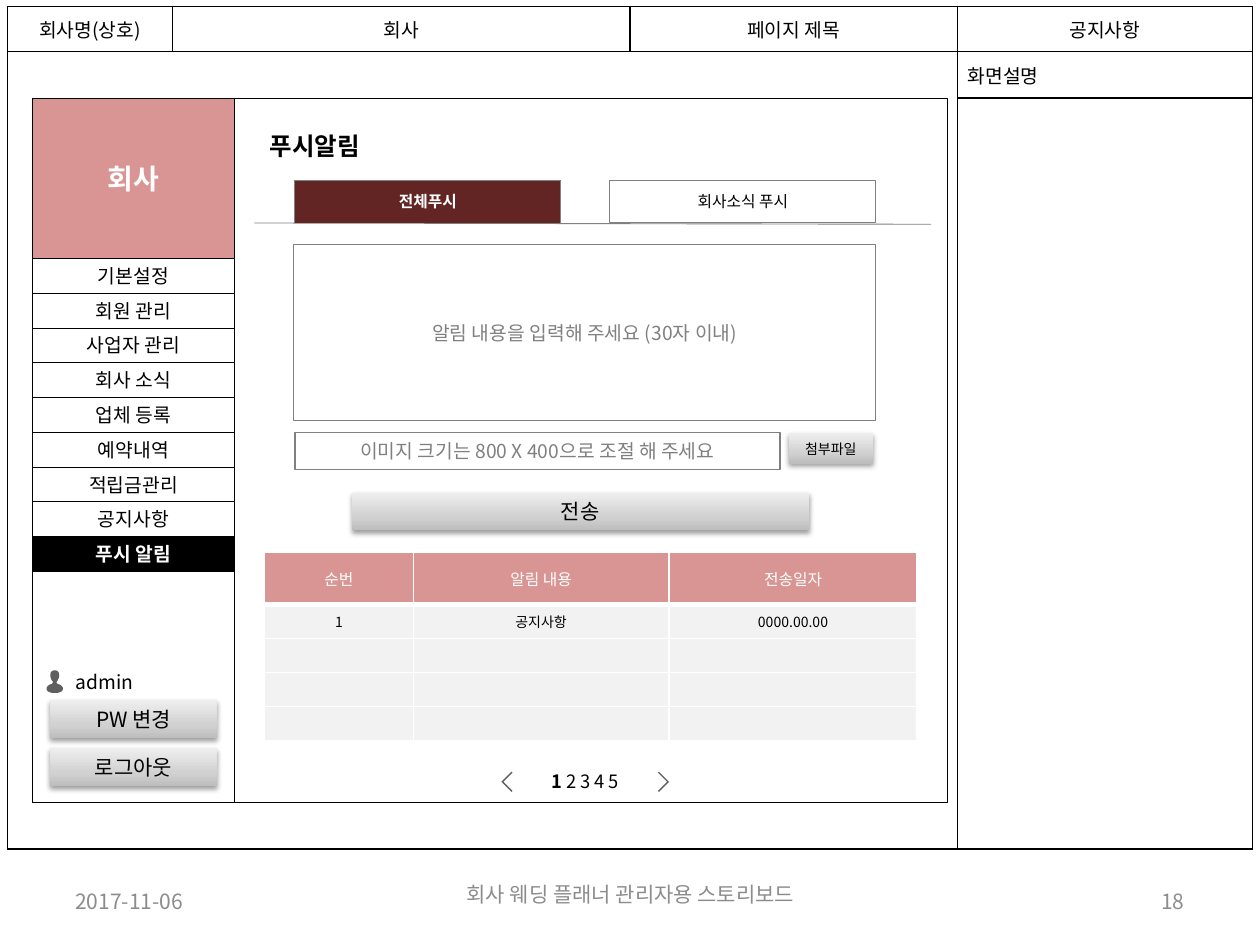
from dataclasses import dataclass
from typing import NamedTuple

from pptx import Presentation
from pptx.dml.color import RGBColor
from pptx.enum.shapes import MSO_CONNECTOR, MSO_SHAPE
from pptx.enum.text import MSO_ANCHOR, MSO_AUTO_SIZE, PP_ALIGN
from pptx.oxml import parse_xml
from pptx.oxml.ns import nsdecls, qn
from pptx.util import Inches, Pt

RECTANGLE = MSO_SHAPE.RECTANGLE
STRAIGHT = MSO_CONNECTOR.STRAIGHT
TOP, MIDDLE = MSO_ANCHOR.TOP, MSO_ANCHOR.MIDDLE
LEFT, CENTER, RIGHT = PP_ALIGN.LEFT, PP_ALIGN.CENTER, PP_ALIGN.RIGHT
NO_AUTOFIT = MSO_AUTO_SIZE.NONE

SLIDE_WIDTH, SLIDE_HEIGHT = Inches(10), Inches(7.5)
COLUMN, ROW = SLIDE_WIDTH // 100, SLIDE_HEIGHT // 75
NOTO, CABIN = "Noto Sans CJK KR", "Cabin"
COLORS = {
    "black": "000000", "white": "FFFFFF", "pink": "D99593", "maroon": "632523",
    "gray": "808080", "footer": "8C8C8C", "icon": "5F5F5F", "band": "F2F2F2",
}
BUTTON_STOPS = {0: "BDBDBD", 35: "D1D1D1", 100: "EEEEEE"}


class Area(NamedTuple):
    column: float
    row: float
    columns: float
    rows: float

    def emu(self) -> list[int]:
        units = (COLUMN, ROW, COLUMN, ROW)
        return [round(value * unit) for value, unit in zip(self, units)]


@dataclass
class Label:
    text: str
    size: float = 11
    color: str = "black"
    bold: bool = False
    align: PP_ALIGN = CENTER
    font: str = NOTO
    anchor: MSO_ANCHOR = MIDDLE
    inset: float = 0.1


@dataclass
class Grid:
    area: Area
    columns: list[float]
    rows: list[float]
    border: str
    inset: float


def rgb(name: str) -> RGBColor:
    return RGBColor.from_string(COLORS[name])


def format_run(run, label: Label, bold: bool) -> None:
    run.font.size, run.font.bold, run.font.name = Pt(label.size), bold, label.font
    run.font.color.rgb = rgb(label.color)
    run._r.get_or_add_rPr().append(
        parse_xml(f'<a:ea {nsdecls("a")} typeface="{label.font}"/>'))


def write(text_frame, label: Label) -> None:
    text_frame.text = label.text
    paragraph = text_frame.paragraphs[0]
    paragraph.alignment = label.align
    for run in paragraph.runs:
        format_run(run, label, label.bold)


def write_in_shape(shape, label: Label) -> None:
    frame = shape.text_frame
    frame.word_wrap, frame.auto_size = True, NO_AUTOFIT
    frame.vertical_anchor = label.anchor
    frame.margin_left = frame.margin_right = Inches(label.inset)
    frame.margin_top = frame.margin_bottom = Inches(0.05)
    write(frame, label)


def paint(shape, fill: str | None, line: str | None, width: float) -> None:
    shape.shadow.inherit = False
    if fill:
        shape.fill.solid()
        shape.fill.fore_color.rgb = rgb(fill)
    else:
        shape.fill.background()
    if line:
        shape.line.color.rgb, shape.line.width = rgb(line), Pt(width)
    else:
        shape.line.fill.background()


def add_box(slide, area: Area, label: Label | None = None, fill: str | None = None,
            line: str | None = "black", width: float = 0.25):
    shape = slide.shapes.add_shape(RECTANGLE, *area.emu())
    paint(shape, fill, line, width)
    if label:
        write_in_shape(shape, label)
    return shape


def add_text(slide, area: Area, label: Label):
    box = slide.shapes.add_textbox(*area.emu())
    write_in_shape(box, label)
    return box


def add_button(slide, area: Area, label: Label) -> None:
    properties = add_box(slide, area, label, line=None).element.spPr
    stops = "".join(f'<a:gs pos="{position * 1000}"><a:srgbClr val="{color}"/></a:gs>'
                    for position, color in BUTTON_STOPS.items())
    properties.replace(properties.find(qn("a:noFill")), parse_xml(
        f'<a:gradFill {nsdecls("a")} rotWithShape="1"><a:gsLst>{stops}</a:gsLst>'
        '<a:lin ang="16200000" scaled="0"/></a:gradFill>'))
    properties.find(qn("a:effectLst")).append(parse_xml(
        f'<a:outerShdw {nsdecls("a")} blurRad="{Pt(3.1)}" dist="{Pt(1.6)}" dir="5400000" '
        'rotWithShape="0"><a:srgbClr val="000000"><a:alpha val="38000"/></a:srgbClr></a:outerShdw>'))


def add_outline(slide, points, fill: str, line: str | None = None, close: bool = True):
    start, *others = [(round(x * COLUMN), round(y * ROW)) for x, y in points]
    builder = slide.shapes.build_freeform(*start, scale=1.0)
    builder.add_line_segments(others, close=close)
    shape = builder.convert_to_shape()
    paint(shape, fill, line, 0.5)
    return shape


def add_person(slide, center: float, top: float) -> None:
    curves = [((-0.2, 0), (-0.35, 0.1), (-0.35, 0.4)), ((-0.35, 0.6), (-0.25, 0.8), (-0.15, 0.9)),
              ((-0.15, 1), (-0.15, 1), (-0.25, 1.1)), ((-0.45, 1.1), (-0.65, 1.3), (-0.65, 1.45)),
              ((-0.65, 1.7), (-0.35, 1.8), (0, 1.8))]
    half = [(0.0, 0.0)]
    for controls in curves:
        corners = (half[-1], *controls)
        for step in range(1, 9):
            t = step / 8
            weights = ((1 - t) ** 3, 3 * t * (1 - t) ** 2, 3 * t * t * (1 - t), t ** 3)
            half.append(tuple(sum(w * c[axis] for w, c in zip(weights, corners)) for axis in (0, 1)))
    profile = half + [(-x, y) for x, y in reversed(half[1:-1])]
    add_outline(slide, [(center + x, top + y) for x, y in profile], "icon")


def add_chevron(slide, tip: float, direction: int) -> None:
    profile = [(0, 0), (0.8, -0.8), (0.88, -0.73), (0.15, 0), (0.88, 0.73), (0.8, 0.8)]
    add_outline(slide, [(tip + direction * x, 62.05 + y) for x, y in profile], "icon")


def add_grid(slide, grid: Grid):
    table = slide.shapes.add_table(len(grid.rows), len(grid.columns), *grid.area.emu()).table
    table.first_row = table.horz_banding = False
    for column, width in zip(table.columns, grid.columns):
        column.width = round(width * COLUMN)
    for row, height in zip(table.rows, grid.rows):
        row.height = round(height * ROW)
    for cell in table.iter_cells():
        cell.margin_left = cell.margin_right = Inches(grid.inset)
        cell.fill.background()
        cell.text_frame.paragraphs[0]._p.append(parse_xml(f'<a:endParaRPr {nsdecls("a")} sz="800"/>'))
        set_borders(cell, grid.border, {side: 1 for side in "LRTB"})
    return table


def set_borders(cell, color: str, widths: dict[str, float]) -> None:
    properties = cell._tc.get_or_add_tcPr()
    for index, (side, width) in enumerate(widths.items()):
        properties.insert(index, parse_xml(
            f'<a:ln{side} {nsdecls("a")} w="{Pt(width)}"><a:solidFill>'
            f'<a:srgbClr val="{COLORS[color]}"/></a:solidFill></a:ln{side}>'))


def fill_cell(cell, label: Label) -> None:
    cell.vertical_anchor = label.anchor
    write(cell.text_frame, label)


def add_page_frame(slide) -> None:
    table = add_grid(slide, Grid(Area(0.6, 0.5, 98.9, 66.9), [13.1, 36.3, 26, 23.4],
                                 [3.6, 3.7, 59.6], "black", 0.08))
    table.cell(1, 0).merge(table.cell(2, 2))
    for column, text in enumerate(["회사명(상호)", "회사", "페이지 제목", "공지사항"]):
        fill_cell(table.cell(0, column), Label(text))
    fill_cell(table.cell(1, 3), Label("화면설명", align=LEFT))
    add_text(slide, Area(5, 69.5, 23.3, 4), Label("2017-11-06", 12, "footer", align=LEFT))
    add_text(slide, Area(34.2, 69, 31.7, 4), Label("회사 웨딩 플래너 관리자용 스토리보드", 12, "footer"))
    add_text(slide, Area(71.7, 69.5, 23.3, 4), Label("18", 12, "footer", align=RIGHT))


def add_sidebar(slide) -> None:
    add_box(slide, Area(2.6, 7.8, 72.6, 55.9))
    add_box(slide, Area(2.6, 42.6, 16, 21.1))
    add_box(slide, Area(2.6, 7.8, 16, 12.7), Label("회사", 16, "white", True), "pink")
    menu = ["기본설정", "회원 관리", "사업자 관리", "회사 소식", "업체 등록",
            "예약내역", "적립금관리", "공지사항", "푸시 알림"]
    for index, text in enumerate(menu):
        active = index == len(menu) - 1
        add_box(slide, Area(2.6, 20.5 + index * 2.76, 16, 2.76),
                Label(text, color="white" if active else "black", bold=active),
                "black" if active else "white")
    add_person(slide, 4.35, 53.2)
    add_text(slide, Area(5, 52.7, 13.5, 2.8), Label("admin", align=LEFT))
    for index, text in enumerate(["PW 변경", "로그아웃"]):
        add_button(slide, Area(4, 55.6 + index * 3.8, 13.2, 3), Label(text, 12))


def add_push_form(slide) -> None:
    title = slide.shapes.title
    title.left, title.top, title.width, title.height = Area(20.4, 9.9, 24.9, 3.4).emu()
    write_in_shape(title, Label("푸시알림", 14, bold=True, align=LEFT, anchor=TOP))
    left, top, width, height = Area(20.2, 17.7, 53.7, 0.1).emu()
    line = slide.shapes.add_connector(STRAIGHT, left + width, top + height, left, top)
    line.line.color.rgb, line.line.width = rgb("gray"), Pt(0.5)
    line.element.spPr.append(parse_xml(f'<a:effectLst {nsdecls("a")}/>'))
    tab = add_outline(slide, [(23.4, 17.7), (23.4, 14.3), (44.5, 14.3), (44.5, 17.7)],
                      "maroon", "gray", close=False)
    write_in_shape(tab, Label("전체푸시", 9, "white", True, font=CABIN, inset=0.05))
    add_box(slide, Area(48.4, 14.3, 21.1, 3.4),
            Label("회사소식 푸시", 9, font=CABIN, inset=0.05), "white", "gray", 0.5)
    for area, text in [(Area(23.3, 19.4, 46.2, 14), "알림 내용을 입력해 주세요 (30자 이내)"),
                       (Area(23.4, 34.35, 38.5, 2.9), "이미지 크기는 800 X 400으로 조절 해 주세요")]:
        add_box(slide, area, Label(text, color="gray"), line="gray", width=0.75)
    add_button(slide, Area(62.6, 34.4, 6.7, 2.4), Label("첨부파일", 8))
    add_button(slide, Area(27.9, 39.1, 36.3, 3), Label("전송", 12))


def add_history(slide) -> None:
    table = add_grid(slide, Grid(Area(21, 43.8, 51.8, 15), [11.8, 20.3, 19.7],
                                 [4.2] + [2.7] * 4, "white", 0))
    for cell in table.iter_cells():
        cell.fill.solid()
        cell.fill.fore_color.rgb = rgb("band")
    for column, (heading, value) in enumerate(
            [("순번", "1"), ("알림 내용", "공지사항"), ("전송일자", "0000.00.00")]):
        header = table.cell(0, column)
        header.fill.fore_color.rgb = rgb("pink")
        header._tc.tcPr.find(qn("a:lnB")).set("w", str(Pt(3)))
        fill_cell(header, Label(heading, 9, "white"))
        fill_cell(table.cell(1, column), Label(value, 8, anchor=TOP))
    add_chevron(slide, 39.8, 1)
    add_chevron(slide, 53.1, -1)
    label = Label("1", 10.5, bold=True, anchor=TOP)
    pager = add_text(slide, Area(40.8, 60.6, 11.3, 2.9), label)
    run = pager.text_frame.paragraphs[0].add_run()
    run.text = " 2 3 4 5"
    format_run(run, label, False)


def main() -> None:
    presentation = Presentation()
    presentation.slide_width, presentation.slide_height = SLIDE_WIDTH, SLIDE_HEIGHT
    slide = presentation.slides.add_slide(presentation.slide_layouts[5])
    for add_part in (add_page_frame, add_sidebar, add_push_form, add_history):
        add_part(slide)
    presentation.save("out.pptx")


if __name__ == "__main__":
    main()
